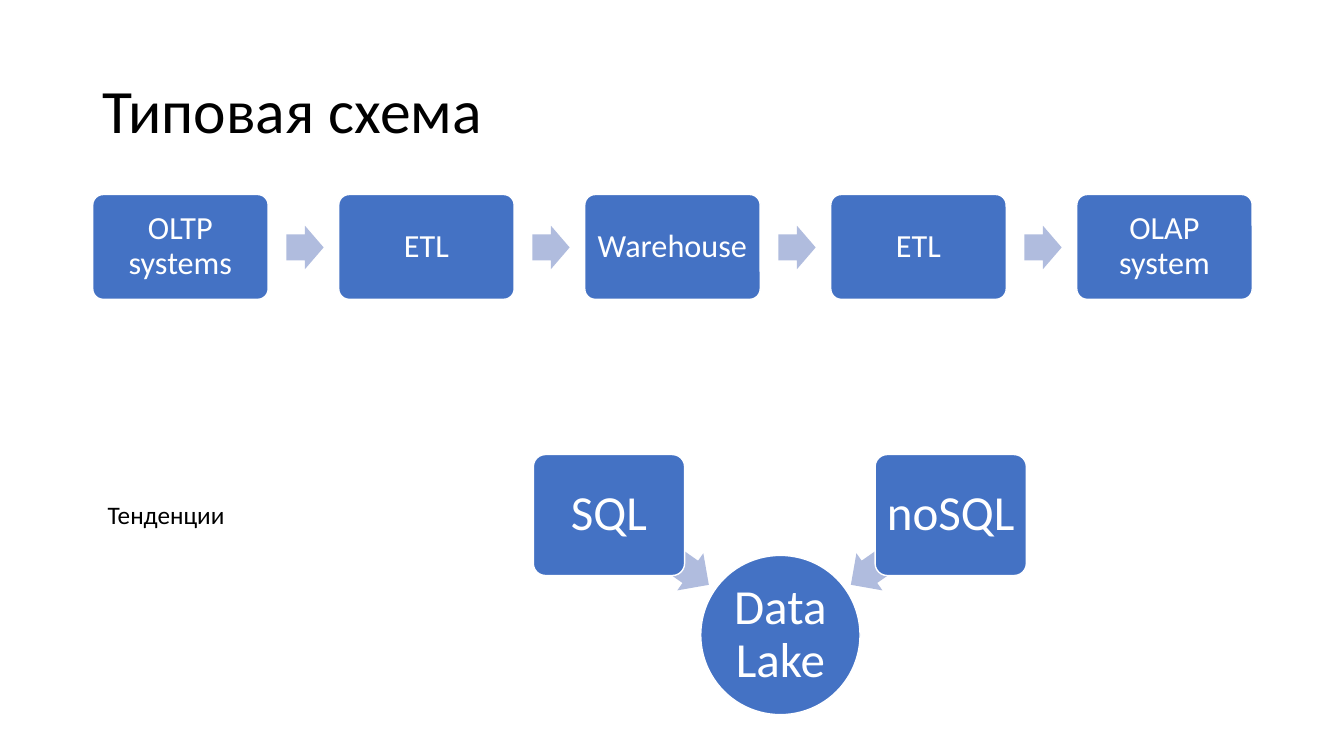
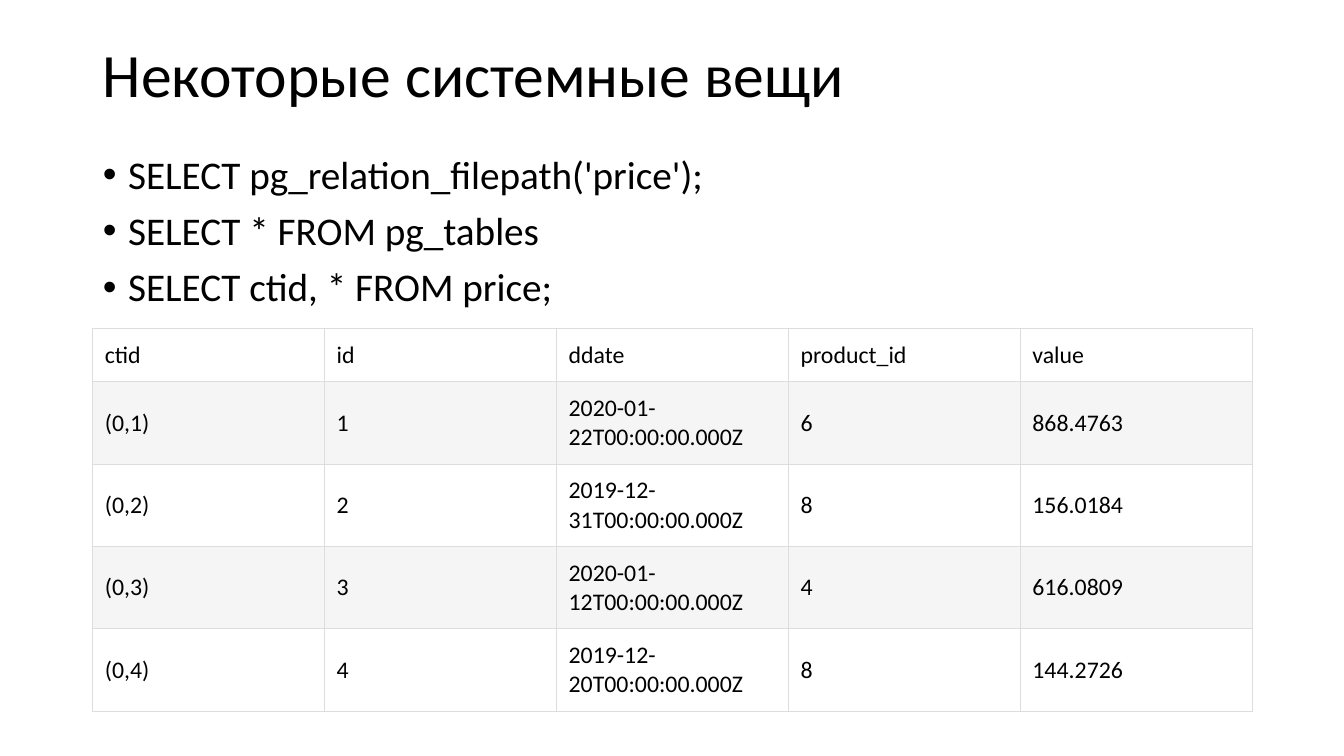
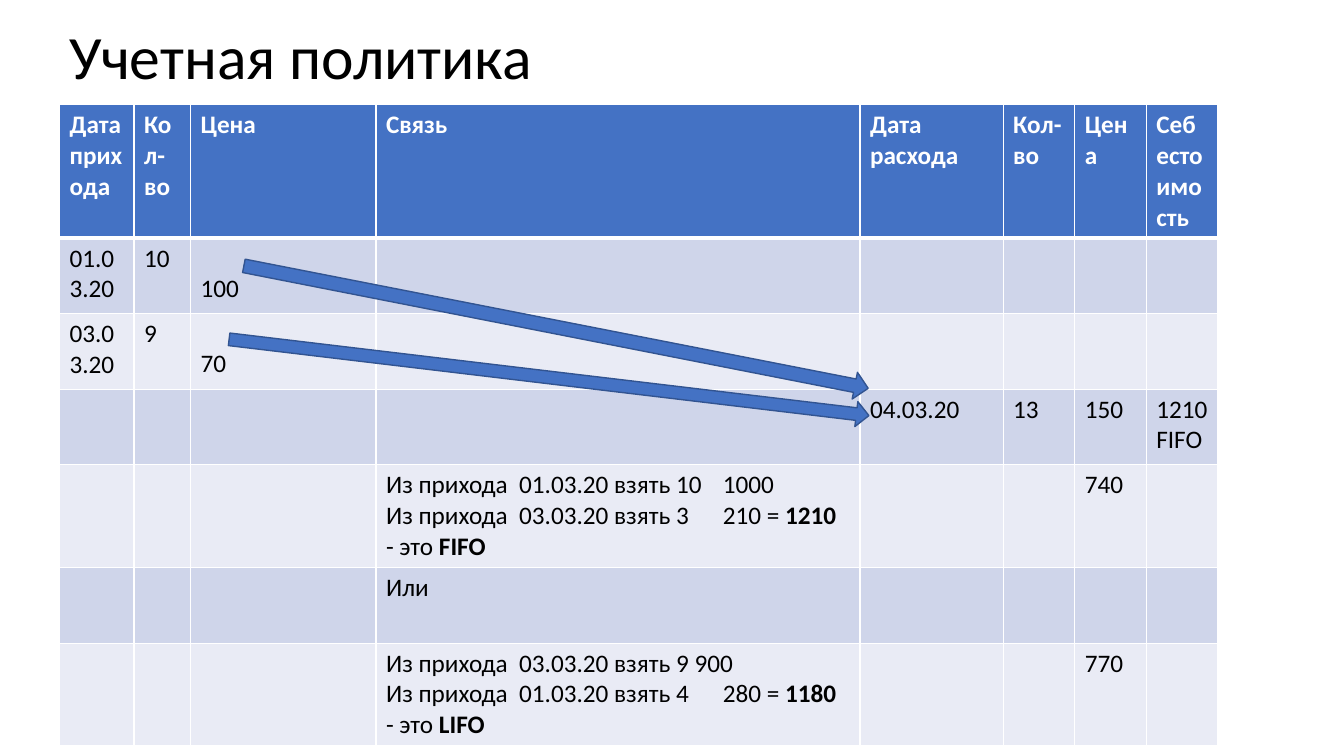
"""Build three slides on data warehousing, system queries and accounting policy."""
from lxml.etree import SubElement
from pptx import Presentation
from pptx.dml.color import RGBColor
from pptx.enum.shapes import MSO_SHAPE
from pptx.enum.text import MSO_ANCHOR, MSO_AUTO_SIZE, PP_ALIGN
from pptx.oxml.ns import qn
from pptx.util import Inches, Pt

FONT = "Calibri"
COLORS = {
    "text": "000000",
    "white": "FFFFFF",
    "blue": "4472C4",
    "pale_arrow": "B0BCDE",
    "arrow_edge": "325491",
    "grid": "DDDDDD",
    "stripe": "F5F5F5",
    "band_dark": "CFD5EA",
    "band_light": "E9EBF5",
}


def add_figure(page, kind, frame, fill="blue", edge=None, text="", size=23, inset=0.08, turn=0):
    figure = page.shapes.add_shape(kind, *[Inches(value) for value in frame])
    figure.shadow.inherit = False
    figure.rotation = turn
    figure.fill.solid()
    figure.fill.fore_color.rgb = RGBColor.from_string(COLORS[fill])
    if edge:
        figure.line.color.rgb = RGBColor.from_string(COLORS[edge])
        figure.line.width = Pt(1)
    else:
        figure.line.fill.background()
    if kind == MSO_SHAPE.ROUNDED_RECTANGLE:
        figure.adjustments[0] = 0.1
    if fill == "pale_arrow":
        figure.adjustments[0] = 0.6
    if text:
        frame = figure.text_frame
        frame.word_wrap = True
        frame.vertical_anchor = MSO_ANCHOR.MIDDLE
        frame.margin_left = frame.margin_right = Inches(inset)
        frame.margin_top = frame.margin_bottom = Inches(inset)
        para = frame.paragraphs[0]
        para.text = text
        para.alignment = PP_ALIGN.CENTER
        para.line_spacing = 0.9
        para.font.name = FONT
        para.font.size = Pt(size)
        para.font.color.rgb = RGBColor.from_string(COLORS["white"])


def fill_cell(cell, text, size, color, fill, grid, widths, bold=False, tabs=()):
    properties = cell._tc.get_or_add_tcPr()
    for side, width in zip("LRTB", widths):
        border = SubElement(properties, qn(f"a:ln{side}"), w=str(Pt(width)))
        paint = SubElement(border, qn("a:solidFill"))
        SubElement(paint, qn("a:srgbClr"), val=COLORS[grid])
    if fill:
        cell.fill.solid()
        cell.fill.fore_color.rgb = RGBColor.from_string(COLORS[fill])
    else:
        cell.fill.background()
    if not text:
        return
    for number, line in enumerate(text.split("\n")):
        frame = cell.text_frame
        para = frame.add_paragraph() if number else frame.paragraphs[0]
        if "\t" in line:
            stops = SubElement(para._p.get_or_add_pPr(), qn("a:tabLst"))
            for stop in tabs:
                SubElement(stops, qn("a:tab"), pos=str(Inches(stop)), algn="l")
        for index, piece in enumerate(line.split("*")):
            if piece:
                span = para.add_run()
                span.text = piece
                span.font.name = FONT
                span.font.size = Pt(size)
                span.font.bold = bold or index % 2 == 1
                span.font.color.rgb = RGBColor.from_string(COLORS[color])


deck = Presentation()
deck.slide_width = Inches(13.33)
deck.slide_height = Inches(7.5)

pages = []
for heading, layout, left, top, height in [
    ("Типовая схема", 5, 0.92, 0.4, 1.45),
    ("Некоторые системные вещи", 1, 0.92, 0.04, 1.45),
    ("Учетная политика", 5, 0.59, 0.17, 0.85),
]:
    page = deck.slides.add_slide(deck.slide_layouts[layout])
    title = page.shapes.title
    title.left, title.top = Inches(left), Inches(top)
    title.width, title.height = Inches(11.5), Inches(height)
    title.text_frame.text = heading
    title.text_frame.auto_size = MSO_AUTO_SIZE.NONE
    title.text_frame.vertical_anchor = MSO_ANCHOR.MIDDLE
    para = title.text_frame.paragraphs[0]
    para.alignment = PP_ALIGN.LEFT
    para.line_spacing = 0.9
    para.font.name = FONT
    para.font.size = Pt(44)
    para.font.color.rgb = RGBColor.from_string(COLORS["text"])
    pages.append(page)
scheme_page, system_page, policy_page = pages

steps = ["OLTP systems", "ETL", "Warehouse", "ETL", "OLAP system"]
step_width = 1.74
pitch = (11.5 - step_width) / (len(steps) - 1)
for index, step in enumerate(steps):
    left = 0.92 + index * pitch
    add_figure(scheme_page, MSO_SHAPE.ROUNDED_RECTANGLE, (left, 1.93, step_width, 1.04),
               edge="white", text=step)
    if index < len(steps) - 1:
        add_figure(scheme_page, MSO_SHAPE.RIGHT_ARROW, (left + 1.92, 2.24, 0.37, 0.43), "pale_arrow")

trend = scheme_page.shapes.add_textbox(Inches(0.97), Inches(4.9), Inches(2.95), Inches(0.4))
trend.text_frame.word_wrap = True
trend.text_frame.text = "Тенденции"
para = trend.text_frame.paragraphs[0]
para.font.name = FONT
para.font.size = Pt(18)
para.font.color.rgb = RGBColor.from_string(COLORS["text"])

add_figure(scheme_page, MSO_SHAPE.OVAL, (6.95, 5.51, 1.58, 1.58), edge="white",
           text="Data Lake", size=35, inset=0.02)
for source, source_left, arrow_left, turn in [("SQL", 5.29, 5.93, 215), ("noSQL", 8.68, 8.33, 325)]:
    add_figure(scheme_page, MSO_SHAPE.LEFT_ARROW, (arrow_left, 5.23, 1.21, 0.45), "pale_arrow", turn=turn)
    add_figure(scheme_page, MSO_SHAPE.ROUNDED_RECTANGLE, (source_left, 4.51, 1.5, 1.2),
               edge="white", text=source, size=35, inset=0.06)

body = system_page.placeholders[1]
body.left, body.top, body.width, body.height = Inches(0.92), Inches(1.49), Inches(11.5), Inches(4.76)
body.text_frame.text = "SELECT pg_relation_filepath('price');\nSELECT * FROM pg_tables\nSELECT ctid, * FROM price;"
body.text_frame.auto_size = MSO_AUTO_SIZE.NONE
for index, para in enumerate(body.text_frame.paragraphs):
    properties = para._p.get_or_add_pPr()
    properties.set("marL", str(Inches(0.25)))
    properties.set("indent", str(Inches(-0.25)))
    SubElement(properties, qn("a:buFont"), typeface="Arial")
    SubElement(properties, qn("a:buChar"), char="•")
    para.line_spacing = 0.9
    para.space_before = Pt(10 if index else 0)
    para.font.name = FONT
    para.font.size = Pt(28)
    para.font.color.rgb = RGBColor.from_string(COLORS["text"])

prices = [
    ["ctid", "id", "ddate", "product_id", "value"],
    ["(0,1)", "1", "2020-01-22T00:00:00.000Z", "6", "868.4763"],
    ["(0,2)", "2", "2019-12-31T00:00:00.000Z", "8", "156.0184"],
    ["(0,3)", "3", "2020-01-12T00:00:00.000Z", "4", "616.0809"],
    ["(0,4)", "4", "2019-12-20T00:00:00.000Z", "8", "144.2726"],
]
price_table = system_page.shapes.add_table(
    5, 5, Inches(0.92), Inches(3.26), Inches(11.5), Inches(3.76)).table
price_table.first_row = price_table.horz_banding = False
for row, values in enumerate(prices):
    price_table.rows[row].height = Inches(0.81 if row else 0.52)
    for column, value in enumerate(values):
        cell = price_table.cell(row, column)
        fill_cell(cell, value, 17, "text", "stripe" if row % 2 else None, "grid", [0.75] * 4)
        cell.vertical_anchor = MSO_ANCHOR.MIDDLE
        cell.margin_left = cell.margin_right = Inches(0.12)
        cell.margin_top = cell.margin_bottom = Inches(0.12)

fifo = "Из прихода\t01.03.20 взять 10\t1000\nИз прихода\t03.03.20 взять 3\t210 = *1210*\n- это *FIFO*"
lifo = "Из прихода\t03.03.20 взять 9 900\nИз прихода\t01.03.20 взять 4\t280 = *1180*\n- это *LIFO*"
policy = [
    ["Дата прихода", "Кол-во", "Цена", "Связь", "Дата расхода", "Кол-во", "Цена", "Себестоимость"],
    ["01.03.20", "10", "100", "", "", "", "", ""],
    ["03.03.20", "9", "70", "", "", "", "", ""],
    ["", "", "", "", "04.03.20", "13", "150", "1210\nFIFO"],
    ["", "", "", fifo, "", "", "740", ""],
    ["", "", "", "Или", "", "", "", ""],
    ["", "", "", lifo, "", "", "770", ""],
]
column_widths = [0.74, 0.56, 1.84, 4.8, 1.42, 0.71, 0.71, 0.71]
row_heights = [1.32, 0.75, 0.75, 0.75, 1.02, 0.75, 1.02]
policy_table = policy_page.shapes.add_table(
    7, 8, Inches(0.59), Inches(1.04), Inches(11.5), Inches(sum(row_heights))).table
policy_table.horz_banding = False
for column, width in enumerate(column_widths):
    policy_table.columns[column].width = Inches(width)
for row, values in enumerate(policy):
    policy_table.rows[row].height = Inches(row_heights[row])
    header = row == 0
    fill = "blue" if header else "band_dark" if row % 2 else "band_light"
    borders = [1, 1, 3 if row == 1 else 1, 3 if header else 1]
    for column, value in enumerate(values):
        cell = policy_table.cell(row, column)
        fill_cell(cell, value, 18, "white" if header else "text", fill, "white", borders, header, (1.32, 3.34))
        if column == 2 and value and not header:
            cell.margin_top = Inches(0.35)

for frame, turn in [((2.36, 3.11, 6.31, 0.27), 11.1), ((2.25, 3.62, 6.39, 0.25), 6.8)]:
    add_figure(policy_page, MSO_SHAPE.RIGHT_ARROW, frame, edge="arrow_edge", turn=turn)

deck.save("out.pptx")
